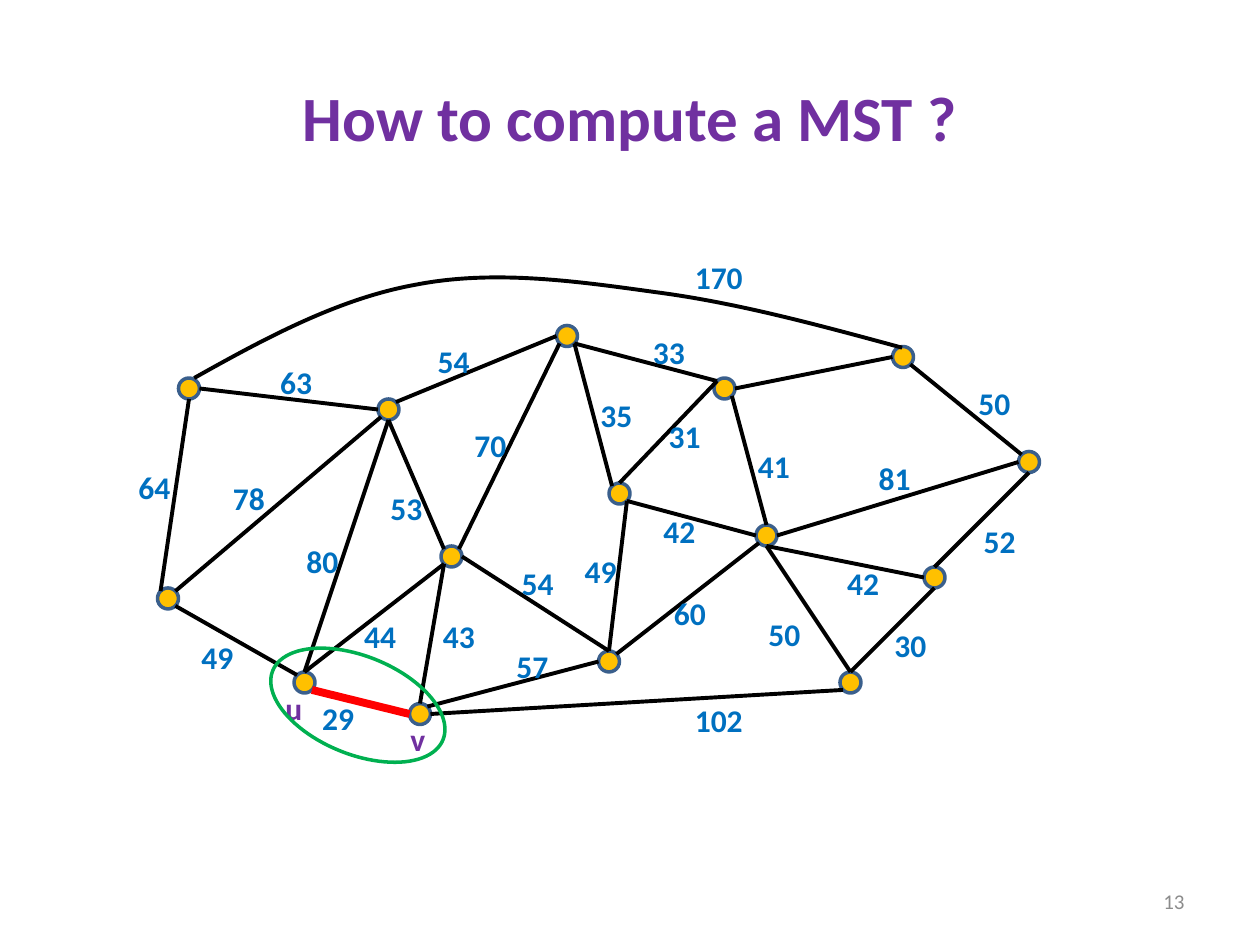
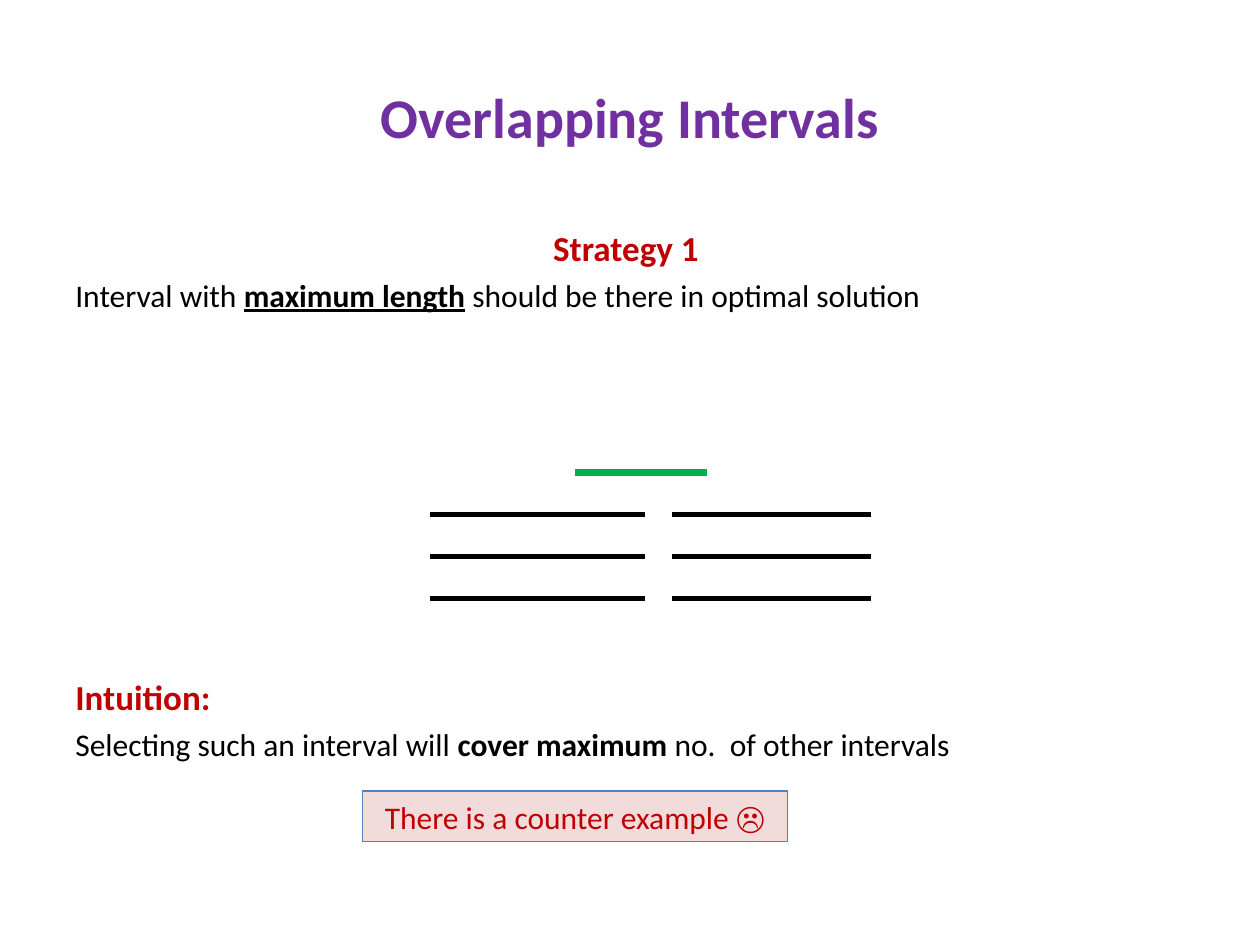
from collections import namedtuple
from dataclasses import dataclass
from math import cos, radians, sin

from lxml import etree
from pptx import Presentation
from pptx import util as u
from pptx.dml.color import RGBColor
from pptx.enum import shapes, text
from pptx.oxml.ns import qn

Box = namedtuple("Box", "left top width height")


@dataclass(frozen=True)
class Theme:
    font: str = "Calibri"
    purple: str = "7030A0"
    blue: str = "0070C0"
    red: str = "C00000"
    bright_red: str = "FF0000"
    green: str = "00B050"
    black: str = "000000"
    grey: str = "8C8C8C"
    node_fill: str = "FFC000"
    node_line: str = "3A5F8C"
    note_fill: str = "F2DCDB"
    note_line: str = "4F81BD"
    body_size: int = 18
    heading_size: int = 20
    number_size: int = 12
    edge_width: float = 2.25
    outline_width: float = 2
    interval_width: float = 3
    strong_width: float = 4.5


THEME = Theme()
TITLE_BOX = Box(36, 21.6, 648, 90)
NUMBER_BOX = Box(516, 500.4, 168, 28.8)

# Graph: top left corner of each node, within the graph's box
NODE_SIZE = 12
NODES = {
    "a": (30, 72), "b": (144, 84), "c": (18, 192), "d": (180, 168), "e": (246, 42),
    "u": (96, 240), "f": (336, 72), "g": (360, 156), "h": (270, 228), "i": (456, 180),
    "j": (408, 240), "v": (162, 258), "k": (276, 132), "l": (438, 54), "m": (510, 114),
}
COMPASS = {name: 45 * step for step, name in
           enumerate(("E", "SE", "S", "SW", "W", "NW", "N", "NE"))}
# Edges: node and side at each end, weight, place of the weight
EDGES = [
    ("a E", "b W", "63", (81, 60)), ("a S", "c NW", "64", (0, 120)),
    ("b S", "d NW", "53", (144, 132)), ("d SW", "u N", "44", (129, 205)),
    ("e SW", "d NE", "70", (192, 96)), ("f NW", "k N", "31", (303, 91)),
    ("e SE", "f NW", "33", (294, 43)), ("d E", "h N", "54", (219, 175)),
    ("d SW", "v N", "43", (174, 205)), ("b NE", "e W", "54", (171, 48)),
    ("f E", "l W", None, None), ("l SE", "m NW", "50", (480, 72)),
    ("f SE", "g N", "41", (354, 108)), ("m W", "g E", "81", (423, 115)),
    ("i W", "g S", "42", (405, 175)), ("j N", "g S", "50", (360, 204)),
    ("h N", "k SE", "49", (255, 168)), ("k SE", "g W", "42", (300, 145)),
    ("v E", "j SW", "102", (318, 253)), ("c SE", "u NW", "49", (36, 217)),
    ("h W", "v NE", "57", (216, 222)), ("b SW", "c NE", "78", (54, 126)),
    ("b S", "u N", "80", (96, 162)), ("e SE", "k NW", "35", (264, 79)),
    ("g SW", "h NE", "60", (306, 192)), ("m S", "i N", "52", (483, 151)),
    ("j N", "i S", "30", (432, 210)), ("v W", "u SE", "29", (105, 252)),
]
LIGHTEST_EDGE = ("v W", "u SE")
# Long edge: start, then two control points and an end for each curve
LONG_EDGE = [(39, 72), (80, 49), (121.7, 26.6), (165.6, 18.7), (210, 10), (257, 16.6),
             (303, 23), (349, 29), (396, 41.8), (443.5, 54.7)]


def rgb(color):
    return RGBColor.from_string(color)


def points(*lengths):
    return [u.Pt(length) for length in lengths]


def write(paragraph, content, *, size=THEME.body_size, color=THEME.black, bold=False,
          underline=False, align=None, space_before=None):
    """Add a formatted run to a paragraph."""
    run = paragraph.add_run()
    run.text = content
    font = run.font
    font.name, font.size, font.bold, font.underline = THEME.font, u.Pt(size), bold, underline
    font.color.rgb = rgb(color)
    if align is not None:
        paragraph.alignment = align
    if space_before is not None:
        paragraph.space_before = u.Pt(space_before)


def add_text_frame(slide, box, wrap=True, anchor=text.MSO_ANCHOR.TOP):
    frame = slide.shapes.add_textbox(*points(*box)).text_frame
    frame.word_wrap = wrap
    frame.vertical_anchor = anchor
    return frame


def add_label(slide, left, top, content, color):
    frame = add_text_frame(slide, Box(left, top, 15 + 9.1 * len(content), 29), wrap=False)
    write(frame.paragraphs[0], content, color=color, bold=True)


def style_shape(shape, fill, line, width):
    shape.shadow.inherit = False
    if fill:
        shape.fill.solid()
        shape.fill.fore_color.rgb = rgb(fill)
    else:
        shape.fill.background()
    shape.line.color.rgb = rgb(line)
    shape.line.width = u.Pt(width)


def add_shape(slide, kind, box, fill, line, width):
    shape = slide.shapes.add_shape(kind, *points(*box))
    style_shape(shape, fill, line, width)
    return shape


def add_line(slide, start, end, color, width):
    line = slide.shapes.add_connector(shapes.MSO_CONNECTOR.STRAIGHT, *points(*start, *end))
    line.line.color.rgb = rgb(color)
    line.line.width = u.Pt(width)
    etree.SubElement(line._element.spPr, qn("a:effectLst"))


def add_curve(slide, curve, color, width):
    """Draw a chain of cubic curves through every third point."""
    start, *rest = [points(*point) for point in curve]
    builder = slide.shapes.build_freeform(*start)
    builder.add_line_segments(rest, close=False)
    shape = builder.convert_to_shape()
    path_element = next(shape._element.iter(qn("a:path")))
    segments = path_element.findall(qn("a:lnTo"))
    for first in range(0, len(segments), 3):
        cubic = etree.SubElement(path_element, qn("a:cubicBezTo"))
        for segment in segments[first:first + 3]:
            cubic.append(segment[0])
            path_element.remove(segment)
    style_shape(shape, None, color, width)


def add_titled_slide(presentation, title, size):
    slide = presentation.slides.add_slide(presentation.slide_layouts[5])
    shape = slide.shapes.title
    shape.left, shape.top, shape.width, shape.height = points(*TITLE_BOX)
    shape.text_frame.vertical_anchor = text.MSO_ANCHOR.MIDDLE
    write(shape.text_frame.paragraphs[0], title, size=size, color=THEME.purple, bold=True,
          align=text.PP_ALIGN.CENTER)
    return slide


def add_slide_number(slide, box, number):
    frame = add_text_frame(slide, box, anchor=text.MSO_ANCHOR.MIDDLE)
    write(frame.paragraphs[0], number, size=THEME.number_size, color=THEME.grey,
          align=text.PP_ALIGN.RIGHT)


def add_graph(slide, box):
    def place(point):
        return box.left + point[0], box.top + point[1]

    def edge_end(end):
        name, side = end.split()
        angle, radius = radians(COMPASS[side]), NODE_SIZE / 2
        left, top = place(NODES[name])
        return left + radius * (1 + cos(angle)), top + radius * (1 + sin(angle))

    # Nodes
    for corner in NODES.values():
        add_shape(slide, shapes.MSO_SHAPE.OVAL, Box(*place(corner), NODE_SIZE, NODE_SIZE),
                  THEME.node_fill, THEME.node_line, THEME.outline_width)
    # Edges
    for start, end, _, _ in EDGES:
        lightest = (start, end) == LIGHTEST_EDGE
        add_line(slide, edge_end(start), edge_end(end),
                 THEME.bright_red if lightest else THEME.black,
                 THEME.strong_width if lightest else THEME.edge_width)
    add_curve(slide, [place(point) for point in LONG_EDGE], THEME.black, THEME.edge_width)
    # Weights and node names
    for _, _, weight, corner in EDGES:
        if weight:
            add_label(slide, *place(corner), weight, THEME.blue)
    add_label(slide, *place((318, 0)), "170", THEME.blue)
    add_label(slide, *place((84, 246)), "u", THEME.purple)
    add_label(slide, *place((155.5, 264)), "v", THEME.purple)
    # Ring around u and v
    ring = add_shape(slide, shapes.MSO_SHAPE.OVAL, Box(*place((80, 231)), 105, 56),
                     None, THEME.green, THEME.outline_width)
    ring.rotation = 22.1


def add_strategy_text(slide, box):
    frame = add_text_frame(slide, box)
    heading = dict(size=THEME.heading_size, color=THEME.red, bold=True)
    write(frame.paragraphs[0], "Strategy 1 ", align=text.PP_ALIGN.CENTER, **heading)
    claim = frame.add_paragraph()
    write(claim, "Interval with ", space_before=4)
    write(claim, "maximum length", bold=True, underline=True)
    write(claim, " should be there in optimal solution")
    write(frame.add_paragraph(), "Intuition:", space_before=207, **heading)
    reason = frame.add_paragraph()
    write(reason, "Selecting such an interval will ", space_before=4)
    write(reason, "cover maximum ", bold=True)
    write(reason, "no.  of other intervals")


def add_intervals(slide, box):
    def add_interval(start, end, row, color, width):
        top = box.top + row * box.height / 3
        add_line(slide, (box.left + start, top), (box.left + end, top), color, width)

    for row in (1, 2, 3):
        add_interval(138, box.width, row, THEME.black, THEME.interval_width)
        add_interval(0, 122.4, row, THEME.black, THEME.interval_width)
    add_interval(82.5, 158, 0, THEME.green, THEME.strong_width)


def add_note(slide, box, content):
    note = add_shape(slide, shapes.MSO_SHAPE.RECTANGLE, box, THEME.note_fill,
                     THEME.note_line, 0.75)
    note.text_frame.word_wrap = True
    write(note.text_frame.paragraphs[0], content, color=THEME.red,
          align=text.PP_ALIGN.CENTER)


def main():
    presentation = Presentation()
    presentation.slide_width, presentation.slide_height = points(720, 540)

    # Spanning tree
    slide = add_titled_slide(presentation, "How to compute a MST ?", 36)
    add_slide_number(slide, NUMBER_BOX, "13")
    add_graph(slide, Box(72, 144, 540, 293))

    # Intervals
    slide = add_titled_slide(presentation, "Overlapping Intervals", 32)
    add_strategy_text(slide, Box(36, 126, 648, 356.4))
    add_note(slide, Box(207, 452, 243, 29), "There is a counter example ☹")
    add_intervals(slide, Box(246, 270, 252, 72))

    presentation.save("out.pptx")


if __name__ == "__main__":
    main()
